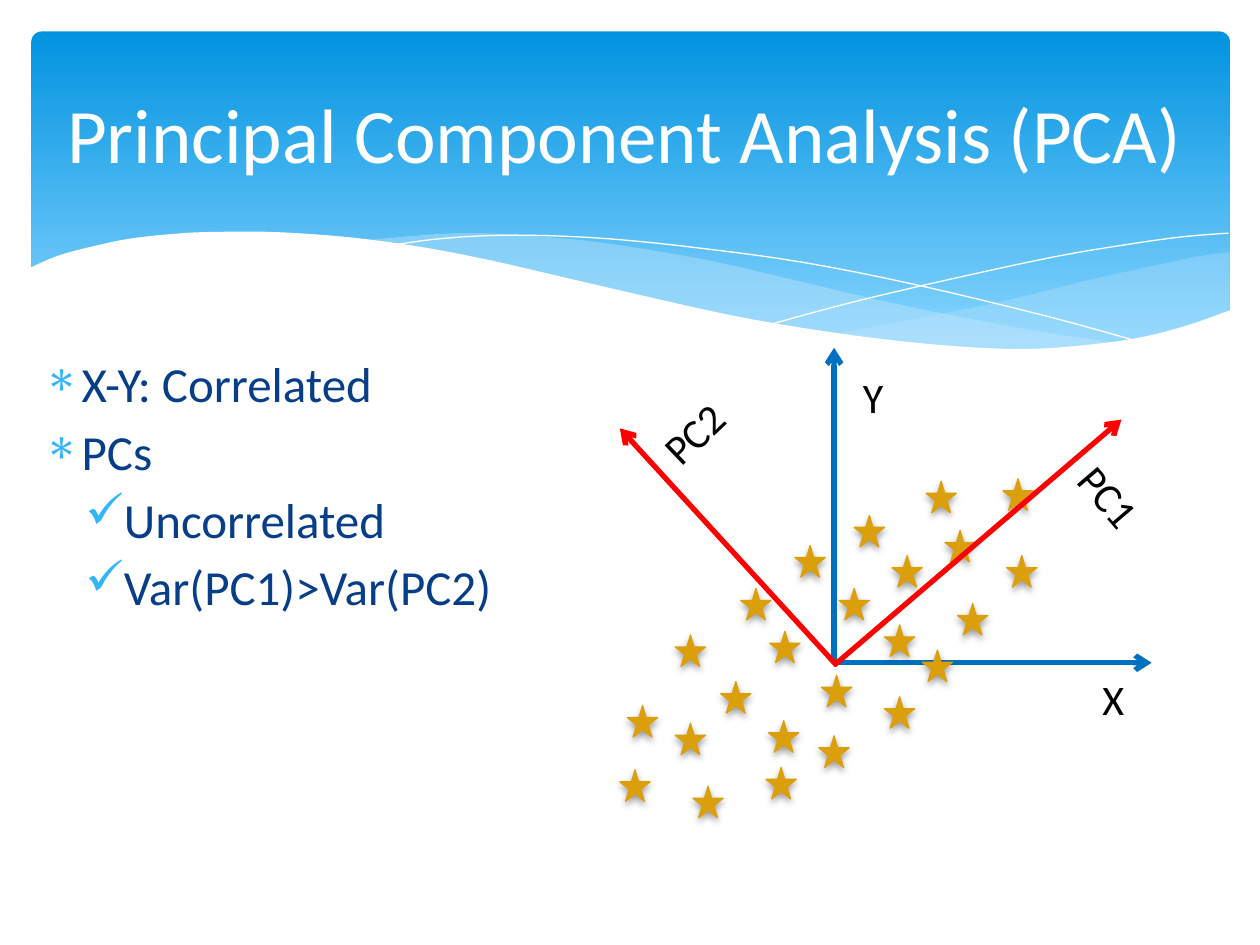
from lxml.etree import SubElement as Sub
from pptx import Presentation
from pptx.dml.color import RGBColor
from pptx.enum.shapes import MSO_CONNECTOR as Link, MSO_SHAPE as Kind
from pptx.enum.text import MSO_ANCHOR as Anchor, PP_ALIGN as Align
from pptx.oxml.ns import qn
from pptx.util import Inches, Pt

FONT = "Calibri"
WHITE = RGBColor(0xFF, 0xFF, 0xFF)
BLACK = RGBColor(0, 0, 0)
NAVY = RGBColor(0x07, 0x3E, 0x87)
SKY = RGBColor(0x31, 0xB6, 0xFD)
DEEP = RGBColor(0x02, 0x93, 0xE0)
LIGHT = RGBColor(0x83, 0xD3, 0xFE)
PALE = RGBColor(0xC6, 0xE7, 0xFC)
BLUE = RGBColor(0, 0x70, 0xC0)
RED = RGBColor(0xFF, 0, 0)
GOLD = RGBColor(0xDC, 0x9F, 0x0C)

RIGHT_TOP = [(9.76, 2), (9.48, 2.04), (9.06, 2.13), (8.61, 2.23), (8.05, 2.37),
             (7.53, 2.48), (7.06, 2.57), (6.61, 2.65)]
RIGHT_LOW = [(6.61, 2.65), (7.05, 2.71), (7.57, 2.76), (8.03, 2.78), (8.44, 2.77),
             (8.81, 2.73), (9.13, 2.67), (9.42, 2.59), (9.76, 2.47)]
MID_TOP = [(8.93, 2.73), (8.37, 2.65), (7.75, 2.54), (7.06, 2.4), (6.29, 2.22),
           (5.69, 2.08), (5.14, 1.98), (4.65, 1.91), (4.2, 1.87), (3.8, 1.85),
           (3.44, 1.86), (2.86, 1.91)]
MID_LOW = [(2.86, 1.91), (3.42, 1.99), (4.04, 2.11), (4.49, 2.22), (5.3, 2.4),
           (6.01, 2.55), (6.65, 2.66), (7.22, 2.74), (7.73, 2.77), (8.18, 2.78),
           (8.57, 2.77), (8.93, 2.73)]
LONG_LINE = [(3.09, 1.95), (3.44, 1.9), (3.87, 1.87), (4.33, 1.87), (4.89, 1.9),
             (5.56, 1.97), (6.36, 2.08), (7.27, 2.26), (8.31, 2.51), (9.07, 2.72)]
SHORT_LINE = [(6.13, 2.57), (6.72, 2.41), (7.48, 2.23), (8.36, 2.04), (8.95, 1.94),
              (9.38, 1.88), (9.75, 1.85)]
FRONT = [(9.77, 2.46), (9.4, 2.59), (8.99, 2.69), (8.5, 2.75), (8.09, 2.77),
         (7.61, 2.75), (7.08, 2.7), (6.48, 2.62), (5.79, 2.5), (5.03, 2.33),
         (4.47, 2.2), (3.91, 2.07), (3.4, 1.97), (2.92, 1.9), (2.5, 1.86),
         (2.11, 1.84), (1.77, 1.84), (1.46, 1.85), (1.06, 1.89), (0.76, 1.95),
         (0.46, 2.03), (0.23, 2.13)]
FOOT = [(0.23, 3.29), (9.77, 3.29)]

STARS = [(5.36, 5.04), (5.72, 5.41), (5.88, 4.67), (7.08, 4.41), (7.02, 5.53),
         (6.52, 5.36), (4.92, 6.11), (7.96, 3.8), (7.32, 5.16), (7.6, 4.79),
         (7.99, 4.41), (6.11, 5.01), (6.78, 4.09), (6.5, 5.84), (4.98, 5.6),
         (6.31, 4.33), (6.66, 4.67), (5.5, 6.24), (7.02, 4.96), (7.5, 4.21),
         (7.35, 3.82), (5.36, 5.74), (6.08, 6.09), (6.1, 5.72)]
AXES = [((6.64, 5.26), (9.14, 5.26)), ((6.62, 5.26), (6.62, 2.76))]
PARTS = [((6.62, 5.28), (8.9, 3.33)), ((6.64, 5.28), (4.92, 3.4))]
LABELS = [("X", 8.32, 5.3, 0, Align.CENTER), ("Y", 6.75, 2.9, 0, Align.LEFT),
          ("PC1", 8.39, 3.81, 49.5, Align.LEFT), ("PC2", 5.1, 3.08, 316.3, Align.LEFT)]
POINTS = [("X-Y: Correlated", 0), ("PCs", 0), ("Uncorrelated", 1), ("Var(PC1)>Var(PC2)", 1)]
MARKS = [("∗", 0.3), ("✓", 0.63)]


def bend(knots, steps=4):
    """Return points of a smooth curve through the knots."""
    ends = [knots[0], *knots, knots[-1]]
    out = []
    for a, b, c, d in zip(ends, ends[1:], ends[2:], ends[3:]):
        for t in (n / steps for n in range(steps)):
            out.append(tuple(
                q + t * (r - p) / 2 + t * t * (2 * p - 5 * q + 4 * r - s) / 2
                + t ** 3 * (3 * q - p - 3 * r + s) / 2
                for p, q, r, s in zip(a, b, c, d)))
    return out + [knots[-1]]


def add_path(shapes, points, close):
    """Draw a freeform through points given in inches."""
    spots = [(Inches(x), Inches(y)) for x, y in points]
    pen = shapes.build_freeform(*spots[0], scale=1.0)
    pen.add_line_segments(spots[1:], close=close)
    shape = pen.convert_to_shape()
    shape.shadow.inherit = False
    return shape


def add_wave(shapes, points, color, alpha=100):
    """Draw a filled wave, see-through if alpha is below 100."""
    wave = add_path(shapes, points, True)
    wave.fill.solid()
    wave.fill.fore_color.rgb = color
    wave.line.fill.background()
    if alpha < 100:
        tint = wave.element.spPr.find(".//" + qn("a:srgbClr"))
        Sub(tint, qn("a:alpha"), val=str(alpha * 1000))


def add_curve(shapes, knots):
    """Draw a white hairline curve."""
    curve = add_path(shapes, bend(knots), False)
    curve.fill.background()
    curve.line.color.rgb = WHITE
    curve.line.width = Pt(0)


def add_band(shapes):
    """Draw the gradient header."""
    band = shapes.add_shape(Kind.ROUNDED_RECTANGLE, Inches(0.25), Inches(0.25),
                            Inches(9.51), Inches(2.7))
    band.adjustments[0] = 0.03
    band.shadow.inherit = False
    band.line.fill.background()
    band.fill.gradient()
    band.fill.gradient_angle = 270
    for stop, color, place in zip(band.fill.gradient_stops, (DEEP, LIGHT), (0, 0.9)):
        stop.color.rgb = color
        stop.position = place


def add_star(shapes, x, y):
    """Draw one data point with a soft shadow."""
    star = shapes.add_shape(Kind.STAR_5_POINT, Inches(x), Inches(y), Inches(0.24), Inches(0.25))
    star.fill.solid()
    star.fill.fore_color.rgb = GOLD
    star.line.color.rgb = GOLD
    star.line.width = Pt(0.75)
    star.shadow.inherit = False
    glow = Sub(star.element.spPr.find(qn("a:effectLst")), qn("a:outerShdw"), blurRad=str(Pt(4)),
               dist=str(Pt(2)), dir="5400000", rotWithShape="0")
    Sub(Sub(glow, qn("a:srgbClr"), val=str(BLACK)), qn("a:alpha"), val="38000")


def add_arrow(shapes, start, end, color):
    """Draw an axis arrow."""
    arrow = shapes.add_connector(Link.STRAIGHT, *map(Inches, start + end))
    arrow.line.color.rgb = color
    arrow.line.width = Pt(3)
    Sub(arrow.line._get_or_add_ln(), qn("a:tailEnd"), type="arrow")
    Sub(arrow.element.spPr, qn("a:effectLst"))


def style(para, size, color):
    """Format the runs of a paragraph."""
    for run in para.runs:
        run.font.name = FONT
        run.font.size = Pt(size)
        run.font.color.rgb = color


def add_text(shapes, text, area, size, color, align=Align.LEFT):
    """Add a one-line text box."""
    box = shapes.add_textbox(*map(Inches, area))
    box.text_frame.word_wrap = True
    box.text_frame.text = text
    para = box.text_frame.paragraphs[0]
    para.alignment = align
    style(para, size, color)
    return box


def add_list(shapes):
    """Add the bullet list."""
    frame = shapes.add_textbox(*map(Inches, (0.25, 2.76, 4.26, 3.67))).text_frame
    frame.word_wrap = True
    frame.text = "\n".join(text for text, _ in POINTS)
    for n, (para, (_, level)) in enumerate(zip(frame.paragraphs, POINTS)):
        mark, left = MARKS[level]
        para.level = level
        para.space_before = Pt(5 if n else 0)
        props = para._p.get_or_add_pPr()
        props.set("marL", str(Inches(left)))
        props.set("indent", str(Inches(-0.3)))
        Sub(Sub(props, qn("a:buClr")), qn("a:srgbClr"), val=str(SKY))
        Sub(props, qn("a:buChar"), char=mark)
        style(para, 28, NAVY)


def main():
    """Build the slide and save it."""
    deck = Presentation()
    deck.slide_width, deck.slide_height = Inches(10), Inches(7.5)
    shapes = deck.slides.add_slide(deck.slide_layouts[6]).shapes
    add_band(shapes)
    add_wave(shapes, bend(RIGHT_TOP) + bend(RIGHT_LOW), PALE, 29)
    add_wave(shapes, bend(MID_TOP) + bend(MID_LOW), PALE, 40)
    add_curve(shapes, LONG_LINE)
    add_curve(shapes, SHORT_LINE)
    add_wave(shapes, bend(FRONT) + FOOT, WHITE)
    for start, end in AXES:
        add_arrow(shapes, start, end, BLUE)
    add_list(shapes)
    title = add_text(shapes, "Principal Component Analysis (PCA)", (0.14, 0.37, 9.64, 1.37),
                     44, WHITE, Align.CENTER)
    title.text_frame.vertical_anchor = Anchor.MIDDLE
    for x, y in STARS:
        add_star(shapes, x, y)
    for start, end in PARTS:
        add_arrow(shapes, start, end, RED)
    for text, x, y, turn, align in LABELS:
        add_text(shapes, text, (x, y, 1.03, 0.5), 24, BLACK, align).rotation = turn
    deck.save("out.pptx")


if __name__ == "__main__":
    main()
